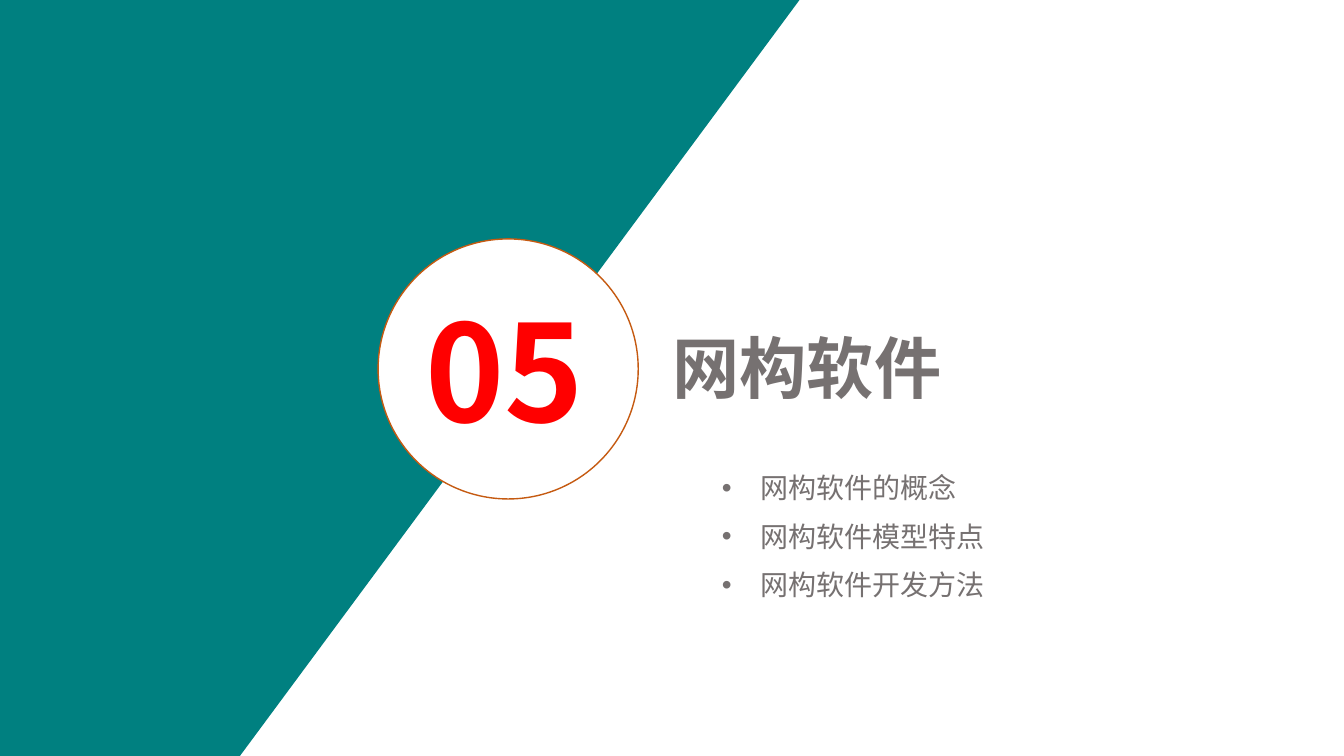
import pptx
import pptx.util
import pptx.dml.color
import pptx.enum.shapes
import pptx.enum.text
import pptx.oxml
import pptx.oxml.ns

Inches = pptx.util.Inches
Pt = pptx.util.Pt

FONT = "Noto Sans CJK SC"
COLORS = {
    "panel": "008080",
    "badge": "FFFFFF",
    "ring": "C55A11",
    "number": "FF0000",
    "text": "767171",
}
SECTION_NUMBER = "05"
SECTION_TITLE = "网构软件"
TOPICS = ["网构软件的概念", "网构软件模型特点", "网构软件开发方法"]


def rgb(name):
    return pptx.dml.color.RGBColor.from_string(COLORS[name])


def place(shape, left, top, width, height):
    shape.left, shape.top = Inches(left), Inches(top)
    shape.width, shape.height = Inches(width), Inches(height)


def format_text(shape, size, color, bold):
    frame = shape.text_frame
    frame.word_wrap = True
    frame.auto_size = pptx.enum.text.MSO_AUTO_SIZE.SHAPE_TO_FIT_TEXT
    frame.vertical_anchor = pptx.enum.text.MSO_ANCHOR.TOP
    for paragraph in frame.paragraphs:
        paragraph.alignment = pptx.enum.text.PP_ALIGN.LEFT
        for run in paragraph.runs:
            run.font.size = Pt(size)
            run.font.bold = bold
            run.font.name = FONT
            run.font.color.rgb = rgb(color)
            east_asian = pptx.oxml.parse_xml(
                f'<a:ea {pptx.oxml.ns.nsdecls("a")} typeface="{FONT}"/>')
            run.font._element.find(pptx.oxml.ns.qn("a:latin")).addnext(east_asian)


def add_panel(slide, left, top, width, height, bottom_width):
    outline = slide.shapes.build_freeform(Inches(left), Inches(top))
    outline.add_line_segments([
        (Inches(left + width), Inches(top)),
        (Inches(left + bottom_width), Inches(top + height)),
        (Inches(left), Inches(top + height)),
    ], close=True)
    panel = outline.convert_to_shape()
    panel.shadow.inherit = False
    panel.fill.solid()
    panel.fill.fore_color.rgb = rgb("panel")
    panel.line.fill.background()


def add_badge(slide, left, top, diameter):
    circle = slide.shapes.add_shape(
        pptx.enum.shapes.MSO_SHAPE.OVAL,
        Inches(left), Inches(top), Inches(diameter), Inches(diameter))
    circle.shadow.inherit = False
    circle.fill.solid()
    circle.fill.fore_color.rgb = rgb("badge")
    circle.line.color.rgb = rgb("ring")
    circle.line.width = Pt(1)
    number = slide.shapes.add_textbox(
        Inches(left + 0.37), Inches(top + 0.44), Inches(1.9), Inches(1.81))
    number.text_frame.text = SECTION_NUMBER
    format_text(number, 96, "number", True)


def fill_title(slide, left, top, width, height):
    title = slide.shapes.title
    place(title, left, top, width, height)
    title.text_frame.text = SECTION_TITLE
    format_text(title, 48, "text", True)


def fill_topics(slide, left, top, width, height):
    topics = slide.placeholders[1]
    place(topics, left, top, width, height)
    topics.text_frame.text = "\n".join(TOPICS)
    for index, paragraph in enumerate(topics.text_frame.paragraphs):
        properties = paragraph._p.get_or_add_pPr()
        properties.set("marL", str(Inches(0.38)))
        properties.set("indent", str(-Inches(0.38)))
        properties.append(pptx.oxml.parse_xml(
            f'<a:buChar {pptx.oxml.ns.nsdecls("a")} char="•"/>'))
        paragraph.space_before = Pt(10.6 if index else 0)
    format_text(topics, 20, "text", False)


def build_section_slide(deck):
    slide = deck.slides.add_slide(deck.slide_layouts[1])
    add_panel(slide, 0, 0, 7.93, 7.5, 2.38)
    add_badge(slide, 3.75, 2.37, 2.58)
    fill_title(slide, 6.57, 3.19, 5.62, 0.96)
    fill_topics(slide, 7.06, 4.62, 4.58, 1.56)


def main():
    deck = pptx.Presentation()
    deck.slide_width, deck.slide_height = Inches(13.33), Inches(7.5)
    build_section_slide(deck)
    deck.save("out.pptx")


if __name__ == "__main__":
    main()
